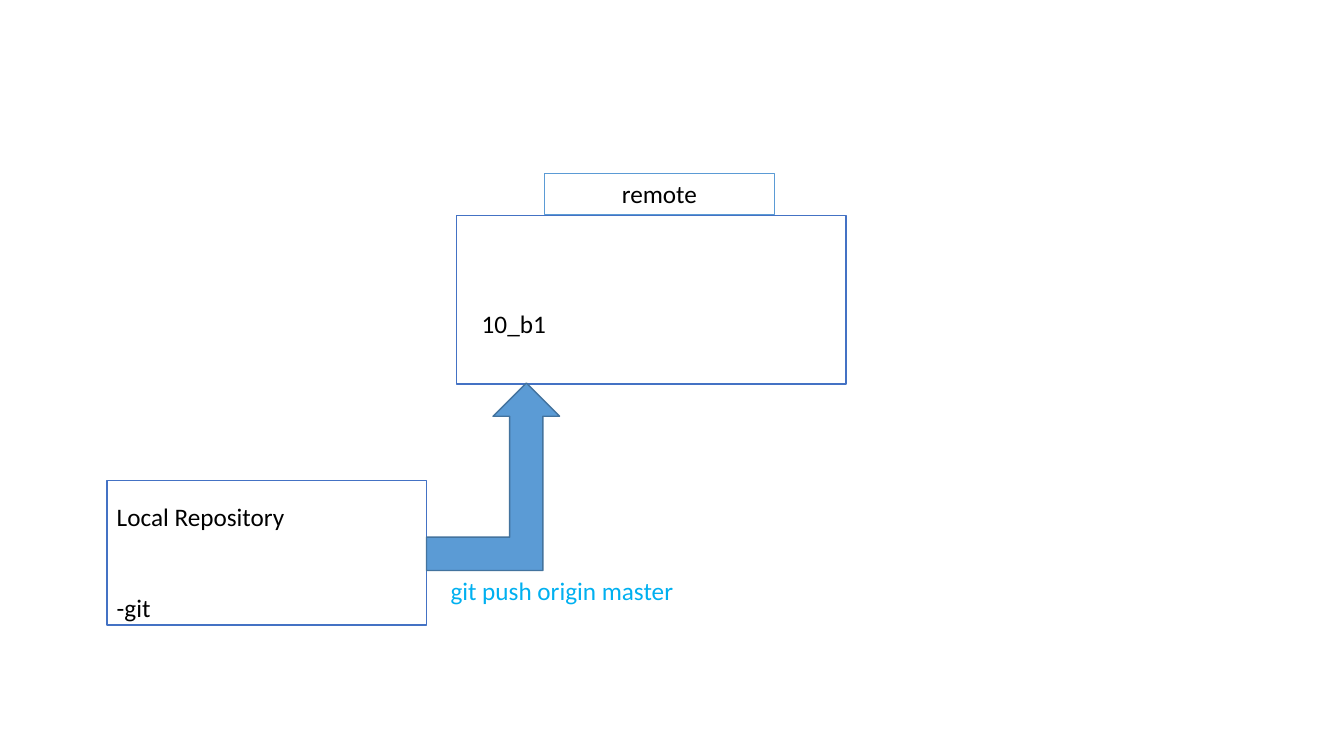
from dataclasses import dataclass

import pptx
import pptx.dml.color
import pptx.enum.shapes
import pptx.enum.text
import pptx.util

Inches = pptx.util.Inches
Pt = pptx.util.Pt
SHAPE = pptx.enum.shapes.MSO_SHAPE
ALIGN = pptx.enum.text.PP_ALIGN


@dataclass
class Block:
    left: float
    top: float
    width: float
    height: float
    line: str
    fill: str = "FFFFFF"
    preset: SHAPE = SHAPE.RECTANGLE


@dataclass
class Label:
    left: float
    top: float
    width: float
    height: float
    lines: tuple[str, ...]
    color: str = "000000"
    align: ALIGN = ALIGN.LEFT
    gap: float = 0


def rgb(value: str) -> pptx.dml.color.RGBColor:
    return pptx.dml.color.RGBColor.from_string(value)


def draw_block(slide, block: Block) -> None:
    shape = slide.shapes.add_shape(
        block.preset, Inches(block.left), Inches(block.top),
        Inches(block.width), Inches(block.height))
    shape.shadow.inherit = False
    shape.fill.solid()
    shape.fill.fore_color.rgb = rgb(block.fill)
    shape.line.color.rgb = rgb(block.line)
    shape.line.width = Pt(1)


def draw_label(slide, label: Label) -> None:
    frame = slide.shapes.add_textbox(
        Inches(label.left), Inches(label.top),
        Inches(label.width), Inches(label.height)).text_frame
    frame.word_wrap = True
    frame.text = "\n".join(label.lines)
    for index, paragraph in enumerate(frame.paragraphs):
        paragraph.alignment = label.align
        paragraph.space_before = Pt(label.gap if index else 0)
        for run in paragraph.runs:
            run.font.name = "Calibri"
            run.font.size = Pt(18)
            run.font.color.rgb = rgb(label.color)


presentation = pptx.Presentation()
presentation.slide_width = Inches(13.33)
presentation.slide_height = Inches(7.5)
slide = presentation.slides.add_slide(presentation.slide_layouts[6])

# Repositories, the push arrow between them, and the host's tab
remote_repository = Block(4.53, 2.14, 3.86, 1.67, "4472C4")
local_repository = Block(1.06, 4.77, 3.17, 1.43, "4472C4")
push_arrow = Block(4.23, 3.8, 1.32, 1.86, "43739E", "5B9BD5", SHAPE.BENT_UP_ARROW)
host_tab = Block(5.4, 1.72, 2.28, 0.41, "5B9BD5")
for block in (remote_repository, local_repository, push_arrow, host_tab):
    draw_block(slide, block)

# Wording; the gap stands for two lines of 18 pt text
local_contents = Label(local_repository.left, 4.92, local_repository.width, 1.31,
                       ("Local Repository", "-git"), gap=44)
push_command = Label(4.37, 5.66, 2.52, 0.4, ("git push origin master",), "00B0F0")
host_name = Label(host_tab.left, host_tab.top, host_tab.width, host_tab.height,
                  ("remote",), align=ALIGN.CENTER)
remote_contents = Label(4.68, 3.01, 2.77, 0.71, ("10_b1",))
for label in (local_contents, push_command, host_name, remote_contents):
    draw_label(slide, label)

presentation.save("out.pptx")
